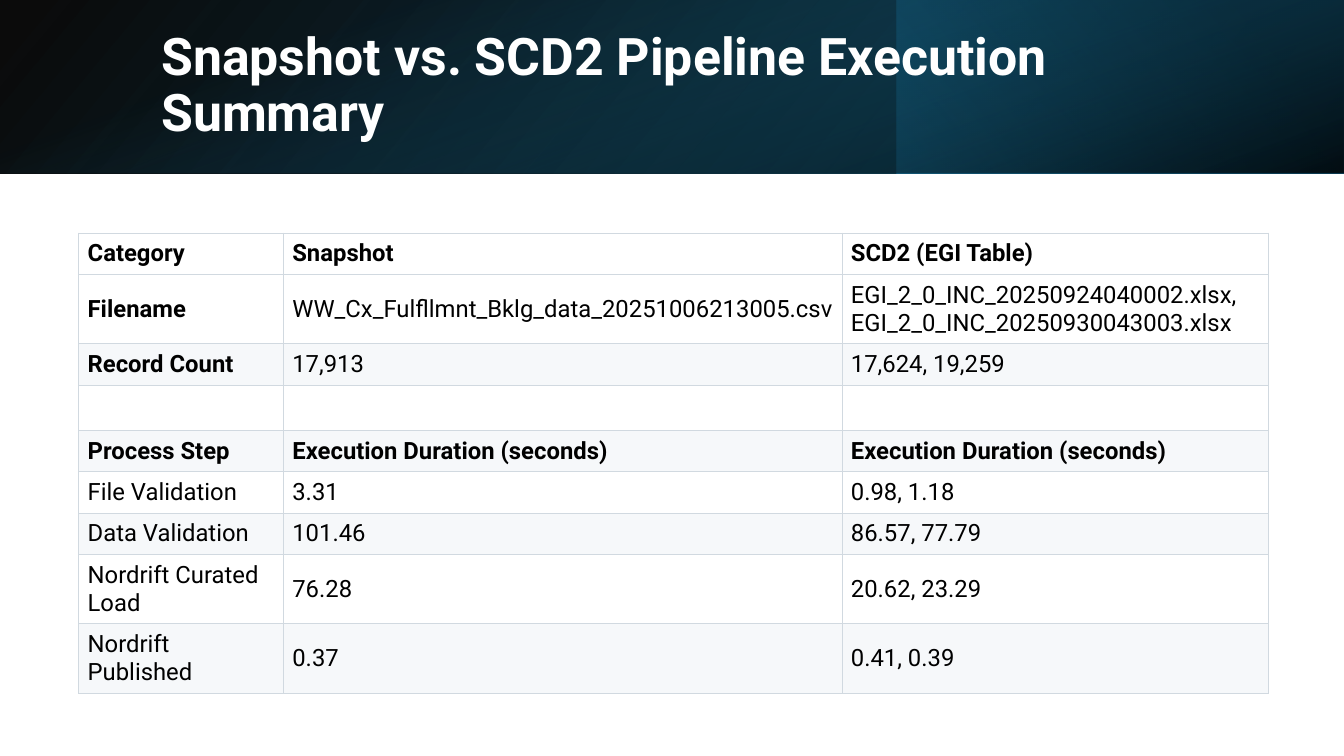
from lxml import etree
from pptx import Presentation, util as u
from pptx.dml.color import RGBColor
from pptx.enum import shapes, text
from pptx.oxml import parse_xml
from pptx.oxml.ns import nsdecls, qn

PX = 9144  # EMU per px, 100 px to the inch
FONT = "Roboto"
C = {"white": "FFFFFF", "black": "000000", "stripe": "F6F8FA", "border": "D1D9E0",
     "navy": "104862", "deep": "0B3041", "teal": "156082"}

COLS = [203, 554, 423]
ROW_H, GAP_H, TALL_H = 41, 45, 69
# height, bold columns, cells
ROWS = [
    (ROW_H, 3, ["Category", "Snapshot", "SCD2 (EGI Table)"]),
    (TALL_H, 1, ["Filename", "WW_Cx_Fulfllmnt_Bklg_data_20251006213005.csv",
                 "EGI_2_0_INC_20250924040002.xlsx,\nEGI_2_0_INC_20250930043003.xlsx"]),
    (ROW_H, 1, ["Record Count", "17,913", "17,624, 19,259"]),
    (GAP_H, 0, ["", "", ""]),
    (ROW_H, 3, ["Process Step", "Execution Duration (seconds)",
                "Execution Duration (seconds)"]),
    (ROW_H, 0, ["File Validation", "3.31", "0.98, 1.18"]),
    (ROW_H, 0, ["Data Validation", "101.46", "86.57, 77.79"]),
    (TALL_H, 0, ["Nordrift Curated Load", "76.28", "20.62, 23.29"]),
    (TALL_H, 0, ["Nordrift Published", "0.37", "0.41, 0.39"]),
]


def rgb(name):
    return RGBColor.from_string(C[name])


def emu(box):
    return [v * PX for v in box]


def set_font(p, size, color, bold):
    f = p.font
    f.name, f.size, f.bold = FONT, u.Pt(size), bold
    f.color.rgb = rgb(color)


def add_gradient(s, box, stops, angle, rotation=0, flip=False):
    """Rectangle with (position, colour, opacity) stops in percent."""
    sp = s.shapes.add_shape(shapes.MSO_SHAPE.RECTANGLE, *emu(box))
    sp.shadow.inherit = False
    sp.line.fill.background()
    sp.rotation = rotation
    spPr = sp._element.spPr
    if flip:
        spPr.find(qn("a:xfrm")).set("flipH", "1")
    gs = "".join(f'<a:gs pos="{pos * 1000}"><a:srgbClr val="{C[color]}">'
                 f'<a:alpha val="{alpha * 1000}"/></a:srgbClr></a:gs>'
                 for pos, color, alpha in stops)
    spPr.find(qn("a:prstGeom")).addnext(parse_xml(
        f'<a:gradFill {nsdecls("a")} rotWithShape="1"><a:gsLst>{gs}</a:gsLst>'
        f'<a:lin ang="{angle * 60000}" scaled="0"/></a:gradFill>'))


def add_banner(s, box):
    x, y, w, h = box
    add_gradient(s, box, [(0, "black", 96), (100, "navy", 100)], 140, flip=True)
    # Right third
    add_gradient(s, (x + w - w // 3, y, w // 3, h),
                 [(19, "deep", 68), (100, "teal", 79)], 320, rotation=180)
    # Upright shade turned to lie over the whole banner
    add_gradient(s, (x + (w - h) // 2, y + (h - w) // 2, h, w),
                 [(23, "teal", 0), (99, "black", 74)], 340, rotation=90)


def add_title(s, box, words):
    sp = s.shapes.title
    s.shapes._spTree.append(sp._element)  # bring in front of the banner
    sp.left, sp.top, sp.width, sp.height = emu(box)
    tf = sp.text_frame
    tf.text = words
    tf.word_wrap = True
    tf.auto_size = text.MSO_AUTO_SIZE.NONE
    tf.vertical_anchor = text.MSO_ANCHOR.MIDDLE
    p = tf.paragraphs[0]
    p.alignment = text.PP_ALIGN.LEFT
    p.line_spacing = 0.9
    set_font(p, 37, "white", True)


def format_cell(cell, words, bold, fill):
    cell.margin_left = cell.margin_right = 9 * PX
    cell.margin_top = cell.margin_bottom = 4 * PX
    cell.vertical_anchor = text.MSO_ANCHOR.MIDDLE
    tcPr = cell._tc.get_or_add_tcPr()
    for side in "LRTB":
        ln = etree.SubElement(tcPr, qn(f"a:ln{side}"), w=str(u.Pt(0.5)))
        solid = etree.SubElement(ln, qn("a:solidFill"))
        etree.SubElement(solid, qn("a:srgbClr"), val=C["border"])
    cell.fill.solid()
    cell.fill.fore_color.rgb = rgb(fill)
    if words:
        cell.text_frame.text = words
        for p in cell.text_frame.paragraphs:
            set_font(p, 17, "black", bold)


def add_summary_table(s, left, top):
    box = (left, top, sum(COLS), sum(h for h, _, _ in ROWS))
    table = s.shapes.add_table(len(ROWS), len(COLS), *emu(box)).table
    table.first_row = table.horz_banding = False
    for col, width in zip(table.columns, COLS):
        col.width = width * PX
    for i, (height, bold_cols, cells) in enumerate(ROWS):
        table.rows[i].height = height * PX
        fill = "stripe" if i and i % 2 == 0 else "white"
        for j, words in enumerate(cells):
            format_cell(table.cell(i, j), words, j < bold_cols, fill)


def main():
    prs = Presentation()
    prs.slide_width, prs.slide_height = 1333 * PX, 750 * PX
    s = prs.slides.add_slide(prs.slide_layouts[5])
    add_banner(s, (0, 0, 1333, 172))
    add_title(s, (150, 38, 1098, 96), "Snapshot vs. SCD2 Pipeline Execution Summary")
    add_summary_table(s, 78, 231)
    prs.save("out.pptx")


if __name__ == "__main__":
    main()
